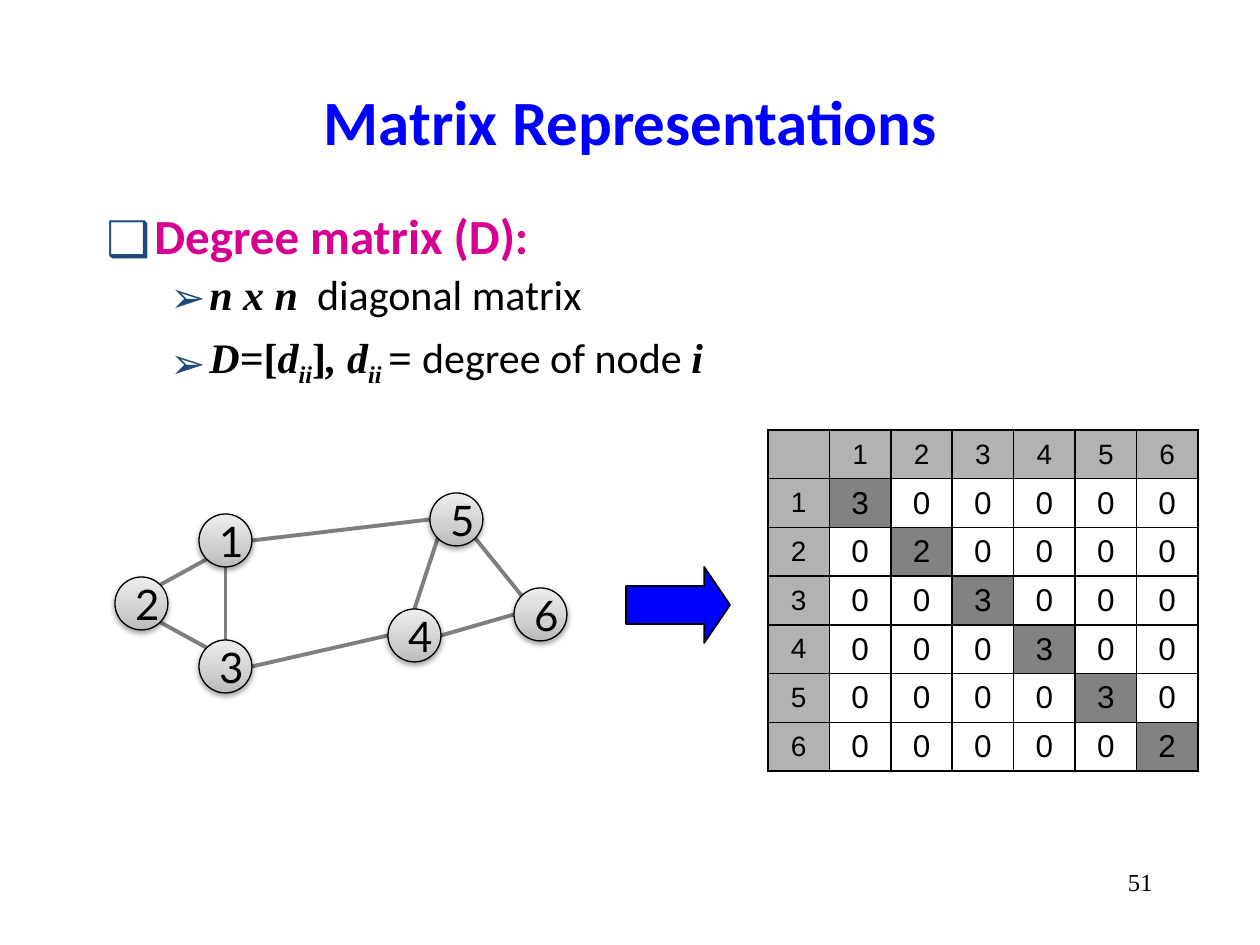
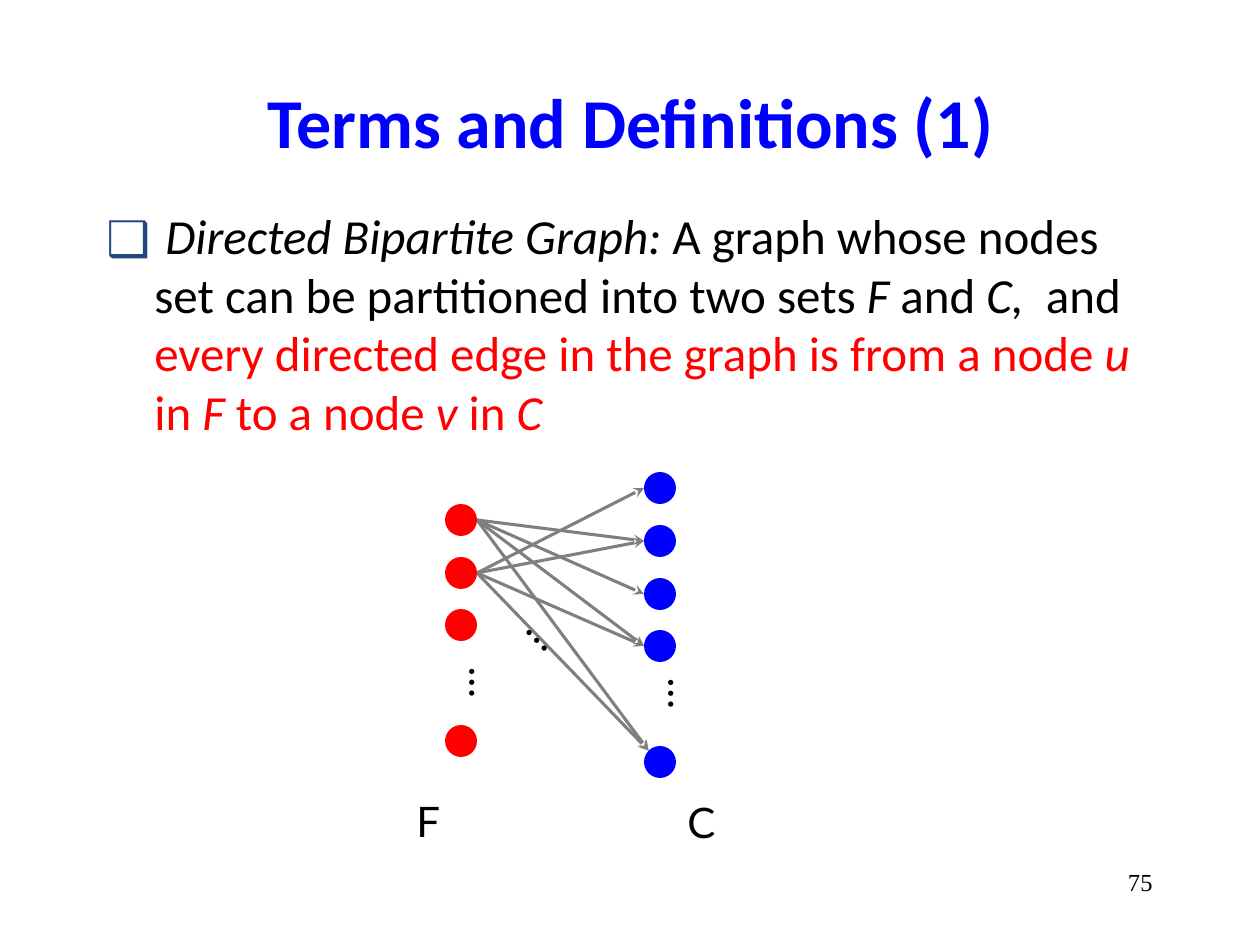
import math
import pptx
import pptx.util
import pptx.dml.color
import pptx.enum.shapes
import pptx.enum.text
import pptx.oxml.ns
from lxml import etree

RGB = pptx.dml.color.RGBColor
KIND = pptx.enum.shapes.MSO_SHAPE
ALIGN = pptx.enum.text.PP_ALIGN
MID = pptx.enum.text.MSO_ANCHOR.MIDDLE
FIT = pptx.enum.text.MSO_AUTO_SIZE
Pt = pptx.util.Pt
qn = pptx.oxml.ns.qn

BLUE = RGB(0x00, 0x00, 0xFF)
RED = RGB(0xFF, 0x00, 0x00)
PINK = RGB(0xD6, 0x00, 0x93)
NAVY = RGB(0x1F, 0x49, 0x7D)
BLACK = RGB(0x00, 0x00, 0x00)
GRAY = RGB(0x7F, 0x7F, 0x7F)
HEAD = RGB(0xB2, 0xB2, 0xB2)
SANS, SERIF, LATO, ARIAL = "Calibri", "Times New Roman", "Lato", "Arial"
MARKS = "Noto Sans Symbols"

# Body text: (level, space before, runs); run: text, font, flags, colour
# Flags: b bold, i italic, s subscript
DEGREE = [
    (0, 0, [("Degree matrix (D):", SANS, "b", PINK)]),
    (1, 2.4, [("n x n", SERIF, "bi", BLACK), ("  diagonal matrix", SANS, "", BLACK)]),
    (1, 7.2, [("D=", SERIF, "bi", BLACK), ("[", SERIF, "b", BLACK),
              ("d", SERIF, "bi", BLACK), ("ii", SERIF, "bis", BLACK),
              ("]", SERIF, "b", BLACK), (", d", SERIF, "bi", BLACK),
              ("ii ", SERIF, "bis", BLACK), ("= ", SERIF, "bi", BLACK),
              ("degree of node ", SANS, "", BLACK), ("i", SERIF, "bi", BLACK)]),
]
TERMS = [
    (0, 0, [(" ", SANS, "", BLACK), ("Directed Bipartite Graph: ", SANS, "i", BLACK),
            ("A graph whose nodes set can be partitioned into two sets ", SANS, "", BLACK),
            ("F", SANS, "i", BLACK), (" and ", SANS, "", BLACK),
            ("C, ", SANS, "i", BLACK), (" and ", SANS, "", BLACK),
            ("every directed edge in the graph is from a node ", SANS, "", RED),
            ("u", SANS, "i", RED), (" in ", SANS, "", RED), ("F", SANS, "i", RED),
            (" to a node ", SANS, "", RED), ("v ", SANS, "i", RED),
            ("in ", SANS, "", RED), ("C", SANS, "i", RED)]),
]
# Level: size, left margin px, hanging px, bullet
LEVELS = [(28, 48, 48, "❑"), (24, 103, 39, "➢")]

# Graph: node corners in px, edges as (node, side, node, side)
NODES = {1: (199, 514), 3: (199, 640), 2: (115, 577),
         5: (430, 493), 4: (388, 609), 6: (514, 588)}
EDGES = [(1, "SW", 2, "NE"), (2, "SE", 3, "NW"), (1, "S", 3, "N"), (1, "E", 5, "W"),
         (3, "E", 4, "W"), (5, "SE", 6, "NW"), (4, "E", 6, "W"), (5, "SW", 4, "N")]
NODE = 53
SHADE = [(0, "BABABA"), (35, "CFCFCF"), (100, "EDEDED")]
DEGS = [3, 2, 3, 3, 3, 2]

# Two node sets: left, tops, colour
F_SET = (445, [504, 557, 609, 725], RED)
C_SET = (644, [472, 525, 578, 630, 746], BLUE)
LINKS = [(0, 1), (0, 2), (0, 3), (0, 4), (1, 0), (1, 1), (1, 3), (1, 4)]
DOT = 32
LABELS = [("…", (426, 661, 50, 50), 270), ("…", (625, 672, 50, 50), 270),
          ("…", (499, 633, 50, 50), 225.9),
          ("F", (404, 789, 48, 63), 0), ("C", (675, 790, 50, 63), 0)]

COMPASS = ["E", "SE", "S", "SW", "W", "NW", "N", "NE"]


def px(num):
    return round(num * 914400 / 126)


def spot(left, top, size, side):
    """Point of a circle's rim on the given compass side."""
    turn = math.radians(45 * COMPASS.index(side))
    half = size / 2
    return left + half + half * math.cos(turn), top + half + half * math.sin(turn)


def style(run, size, face, color, flags=""):
    font = run.font
    font.size, font.name, font.color.rgb = Pt(size), face, color
    font.bold, font.italic = "b" in flags, "i" in flags
    if "s" in flags:
        run._r.get_or_add_rPr().set("baseline", "-25000")


def write(frame, text, size, face, color=BLACK, align=ALIGN.CENTER, flags=""):
    frame.text = text
    para = frame.paragraphs[0]
    para.alignment = align
    for run in para.runs:
        style(run, size, face, color, flags)


def sub(node, tag, **attrs):
    return etree.SubElement(node, qn(tag), attrs)


def shape(shapes, kind, box, color=None):
    item = shapes.add_shape(kind, *map(px, box))
    item.shadow.inherit = False
    if color is not None:
        item.fill.solid()
        item.fill.fore_color.rgb = color
    item.line.fill.background()
    return item


def line(shapes, start, end, width, arrow=False):
    link = shapes.add_connector(pptx.enum.shapes.MSO_CONNECTOR.STRAIGHT,
                                *map(px, (*start, *end)))
    link.line.color.rgb = GRAY
    link.line.width = Pt(width)
    if arrow:
        sub(link.line._get_or_add_ln(), "a:tailEnd", type="stealth")
    sub(link._element.spPr, "a:effectLst")


def label(slide, text, box, turn=0, size=24, face=LATO, align=ALIGN.LEFT, grow=True):
    item = slide.shapes.add_textbox(*map(px, box))
    item.rotation = turn
    write(item.text_frame, text, size, face, align=align)
    item.text_frame.word_wrap = not grow
    item.text_frame.auto_size = FIT.SHAPE_TO_FIT_TEXT if grow else FIT.NONE


def frame(deck, title, size, body, page):
    """Slide with title, bulleted body and page number."""
    slide = deck.slides.add_slide(deck.slide_layouts[5])
    head = slide.shapes.title
    head.left, head.top, head.width, head.height = map(px, (95, 42, 1071, 157))
    write(head.text_frame, title, size, SANS, BLUE, flags="b")
    head.text_frame.vertical_anchor = MID
    area = slide.shapes.add_textbox(*map(px, (94, 199, 1071, 640))).text_frame
    area.word_wrap = True
    for num, (level, gap, runs) in enumerate(body):
        para = area.add_paragraph() if num else area.paragraphs[0]
        size, left, hang, mark = LEVELS[level]
        para.level = level
        if gap:
            para.space_before = Pt(gap)
        props = para._p.get_or_add_pPr()
        props.set("marL", str(px(left)))
        props.set("indent", str(-px(hang)))
        sub(sub(props, "a:buClr"), "a:srgbClr", val=str(NAVY))
        sub(props, "a:buFont", typeface=MARKS)
        sub(props, "a:buChar", char=mark)
        for text, face, flags, color in runs:
            run = para.add_run()
            run.text = text
            style(run, size, face, color, flags)
    label(slide, page, (903, 861, 262, 63), size=14, face=SERIF,
          align=ALIGN.RIGHT, grow=False)
    return slide


def graph(slide):
    group = slide.shapes.add_group_shape().shapes
    for one, out, two, into in EDGES:
        line(group, spot(*NODES[one], NODE, out), spot(*NODES[two], NODE, into), 2.25)
    for num, corner in NODES.items():
        ball = shape(group, KIND.OVAL, (*corner, NODE, NODE))
        ball.fill.gradient()
        ball.fill.gradient_angle = 90
        props = ball._element.spPr
        stops = props.find(".//" + qn("a:gsLst"))
        stops.clear()
        for pos, color in SHADE:
            sub(sub(stops, "a:gs", pos=str(pos * 1000)), "a:srgbClr", val=color)
        ball.line.color.rgb = BLACK
        ball.line.width = Pt(0.75)
        cast = sub(props.find(qn("a:effectLst")), "a:outerShdw", blurRad=str(Pt(3.1)),
                   dist=str(Pt(1.6)), dir="5400000", rotWithShape="0")
        sub(sub(cast, "a:srgbClr", val="000000"), "a:alpha", val="37000")
        write(ball.text_frame, str(num), 24, LATO)
        ball.text_frame.vertical_anchor = MID


def border(cell):
    props = cell._tc.get_or_add_tcPr()
    for pos, side in enumerate("LRTB"):
        edge = etree.Element(qn("a:ln" + side), w=str(Pt(1)))
        sub(sub(edge, "a:solidFill"), "a:srgbClr", val=str(BLACK))
        props.insert(pos, edge)


def matrix(slide):
    count = len(DEGS) + 1
    grid = slide.shapes.add_table(count, count, *map(px, (768, 430, 430, 341))).table
    grid.first_row = grid.horz_banding = False
    for row in range(count):
        for col in range(count):
            cell = grid.cell(row, col)
            top = row == 0 or col == 0
            diag = row == col
            if top:
                text = str(row + col or "")
            else:
                text = str(DEGS[row - 1] if diag else 0)
            write(cell.text_frame, text, 16 if top else 18, ARIAL)
            cell.vertical_anchor = MID
            cell.margin_top = cell.margin_bottom = px(3)
            if top or diag:
                cell.fill.solid()
                cell.fill.fore_color.rgb = HEAD if top else BLACK
            else:
                cell.fill.background()
            if diag and not top:
                tint = cell._tc.tcPr.find(".//" + qn("a:srgbClr"))
                sub(tint, "a:alpha", val="49000")
            border(cell)


def main():
    deck = pptx.Presentation()
    deck.slide_width, deck.slide_height = px(1260), px(945)

    # Degree matrix
    slide = frame(deck, "Matrix Representations", 36, DEGREE, "51")
    arrow = shape(slide.shapes, KIND.RIGHT_ARROW, (626, 567, 104, 76), BLUE)
    arrow.adjustments[0], arrow.adjustments[1] = 0.5, 0.34
    arrow.line.color.rgb = BLACK
    arrow.line.width = Pt(1)
    graph(slide)
    matrix(slide)

    # Bipartite graph
    slide = frame(deck, "Terms and Definitions (1)", 40, TERMS, "75")
    last = len(C_SET[1]) - 1
    for one, two in LINKS:
        line(slide.shapes, spot(F_SET[0], F_SET[1][one], DOT, "E"),
             spot(C_SET[0], C_SET[1][two], DOT, "NW" if two == last else "W"), 1.75, True)
    for left, tops, color in (F_SET, C_SET):
        for top in tops:
            shape(slide.shapes, KIND.OVAL, (left, top, DOT, DOT), color)
    for text, box, turn in LABELS:
        label(slide, text, box, turn)

    deck.save("out.pptx")


if __name__ == "__main__":
    main()
